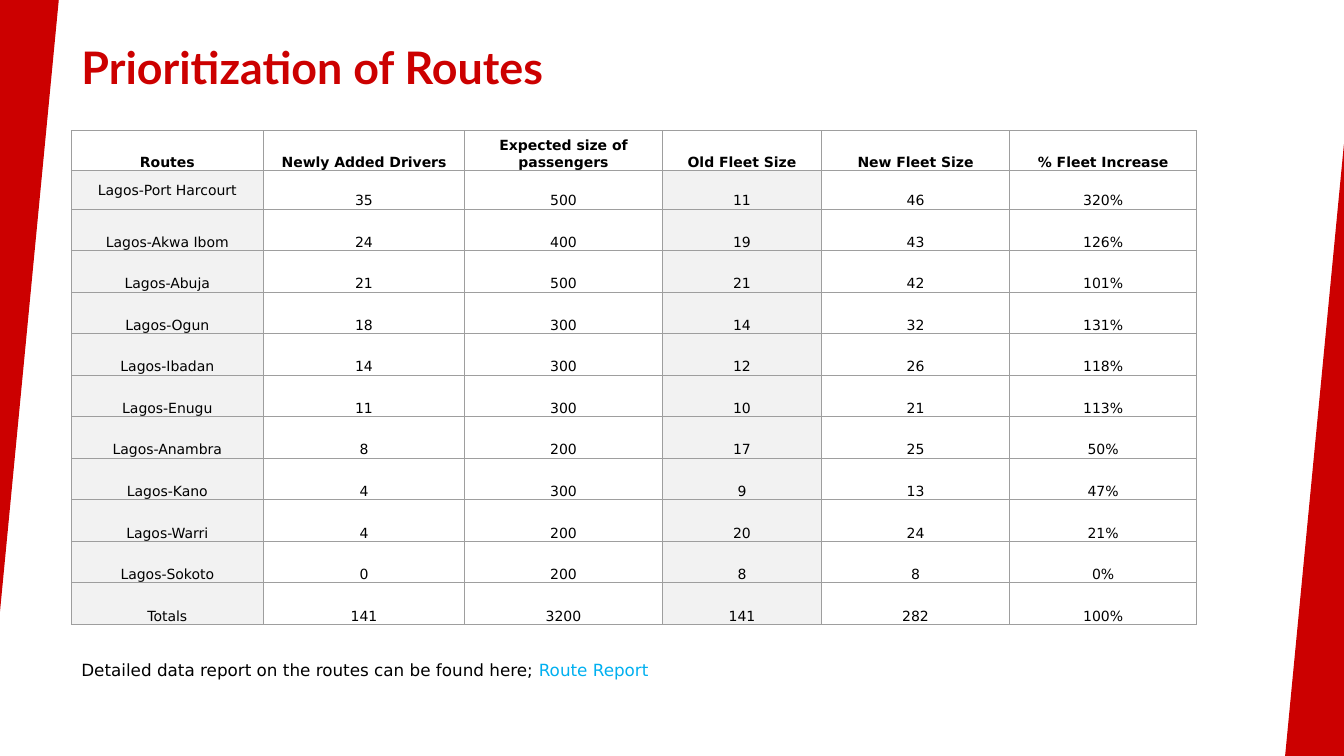
from lxml.etree import SubElement
from pptx import Presentation
from pptx.dml.color import RGBColor as RGB
from pptx.enum.shapes import MSO_SHAPE as SHAPE
from pptx.enum.text import MSO_ANCHOR as ANCHOR, PP_ALIGN as ALIGN
from pptx.oxml import parse_xml
from pptx.oxml.ns import nsdecls, qn
from pptx.util import Pt

COLORS = {"red": "CC0000", "black": "000000", "link": "00B0F0",
          "shade": "F2F2F2", "border": "9E9E9E"}
BODY_FONT = "DejaVu Sans"


def add_run(p, text, size, color="black", bold=False, font=BODY_FONT):
    r = p.add_run()
    r.text = text
    r.font.name = font
    r.font.size = Pt(size)
    r.font.bold = bold
    r.font.color.rgb = RGB.from_string(COLORS[color])


def add_borders(cell):
    tcPr = cell._tc.get_or_add_tcPr()
    for i, side in enumerate(("lnL", "lnR", "lnT", "lnB")):
        ln = parse_xml(f'<a:{side} {nsdecls("a")} w="{Pt(0.75)}"/>')
        fill = SubElement(ln, qn("a:solidFill"))
        SubElement(fill, qn("a:srgbClr"), val=COLORS["border"])
        tcPr.insert(i, ln)


prs = Presentation()
prs.slide_width, prs.slide_height = Pt(960), Pt(540)
s = prs.slides.add_slide(prs.slide_layouts[5])

for left, top, rotation in ((0, 0, 180), (918, 103, 0)):
    sp = s.shapes.add_shape(SHAPE.RIGHT_TRIANGLE, Pt(left), Pt(top), Pt(42), Pt(437))
    sp.rotation = rotation
    sp._element.spPr.get_or_add_xfrm().set("flipH", "1")
    sp.shadow.inherit = False
    sp.fill.solid()
    sp.fill.fore_color.rgb = RGB.from_string(COLORS["red"])
    sp.line.fill.background()

title = s.shapes.title
title.left, title.top, title.width, title.height = Pt(51), Pt(21), Pt(768), Pt(66)
tf = title.text_frame
tf.vertical_anchor = ANCHOR.TOP
tf.margin_left = tf.margin_right = tf.margin_top = tf.margin_bottom = Pt(7.2)
p = tf.paragraphs[0]
p.alignment = ALIGN.LEFT
add_run(p, "Prioritization of Routes", 32, "red", True, "Lato")

rows = [
    ("Routes", "Newly Added Drivers", "Expected size of passengers",
     "Old Fleet Size", "New Fleet Size", "% Fleet Increase"),
    ("Lagos-Port Harcourt", 35, 500, 11, 46, "320%"),
    ("Lagos-Akwa Ibom", 24, 400, 19, 43, "126%"),
    ("Lagos-Abuja", 21, 500, 21, 42, "101%"),
    ("Lagos-Ogun", 18, 300, 14, 32, "131%"),
    ("Lagos-Ibadan", 14, 300, 12, 26, "118%"),
    ("Lagos-Enugu", 11, 300, 10, 21, "113%"),
    ("Lagos-Anambra", 8, 200, 17, 25, "50%"),
    ("Lagos-Kano", 4, 300, 9, 13, "47%"),
    ("Lagos-Warri", 4, 200, 20, 24, "21%"),
    ("Lagos-Sokoto", 0, 200, 8, 8, "0%"),
    ("Totals", 141, 3200, 141, 282, "100%"),
]
col_widths = [137, 144, 141, 114, 134, 134]
row_heights = [28.5, 27.5] + [29.7] * 10
shaded_cols = (0, 3)

table = s.shapes.add_table(len(rows), len(col_widths), Pt(51), Pt(93.3),
                           Pt(sum(col_widths)), Pt(sum(row_heights))).table
table.horz_banding = False
for col, width in zip(table.columns, col_widths):
    col.width = Pt(width)
for row, height in zip(table.rows, row_heights):
    row.height = Pt(height)

for i, values in enumerate(rows):
    for j, value in enumerate(values):
        cell = table.cell(i, j)
        cell.vertical_anchor = ANCHOR.MIDDLE if (i, j) == (1, 0) else ANCHOR.BOTTOM
        cell.margin_left = cell.margin_right = cell.margin_top = Pt(0.75)
        cell.margin_bottom = Pt(0)
        if i > 0 and j in shaded_cols:
            cell.fill.solid()
            cell.fill.fore_color.rgb = RGB.from_string(COLORS["shade"])
        else:
            cell.fill.background()
        add_borders(cell)
        p = cell.text_frame.paragraphs[0]
        p.alignment = ALIGN.CENTER
        add_run(p, str(value), 10, bold=i == 0)

note = s.shapes.add_textbox(Pt(51), Pt(468), Pt(480), Pt(21.6))
tf = note.text_frame
tf.word_wrap = True
p = tf.paragraphs[0]
add_run(p, "Detailed data report on the routes can be found here; ", 12)
add_run(p, "Route Report", 12, "link")

prs.save("out.pptx")
